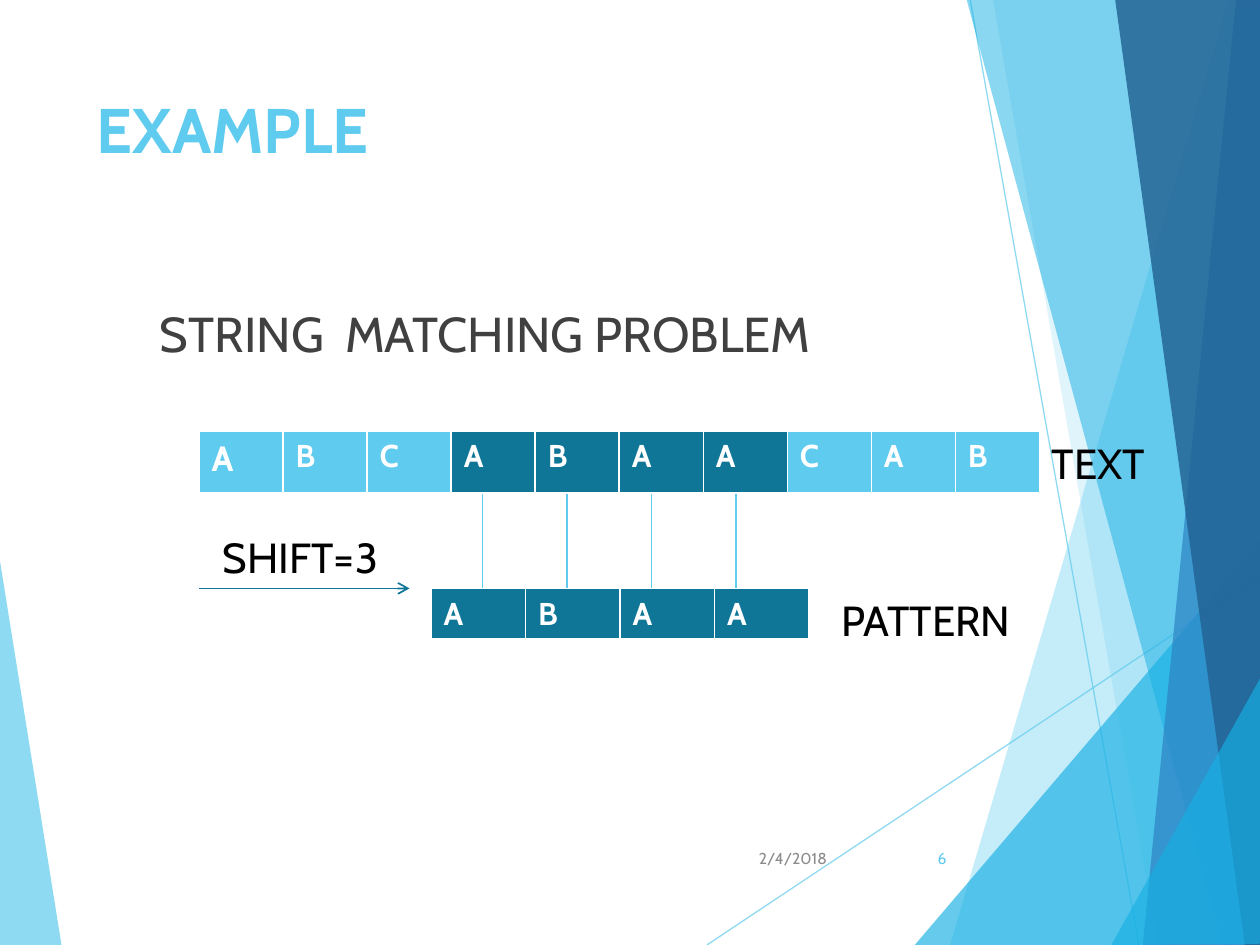
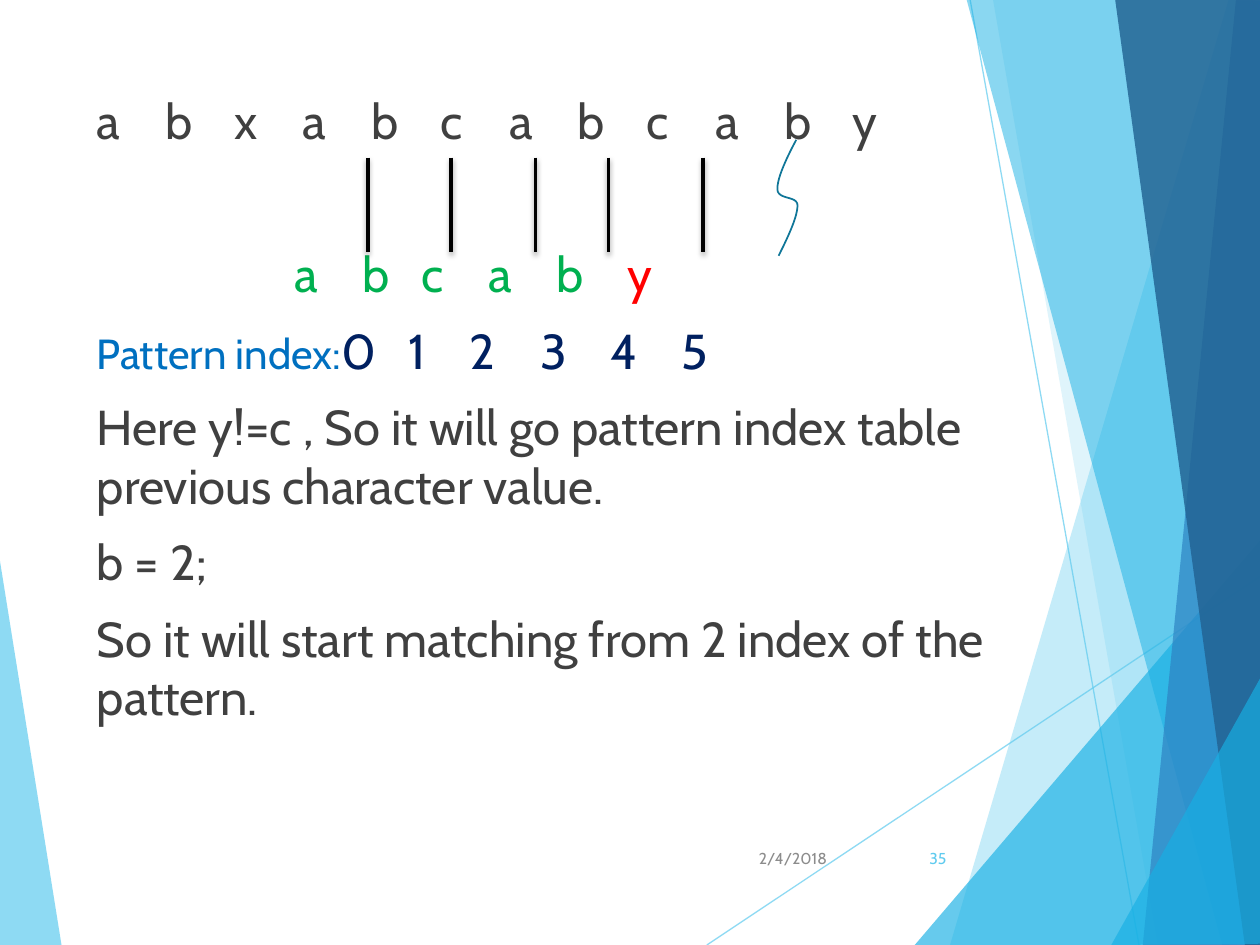
from lxml.etree import SubElement
from pptx import Presentation
from pptx.dml.color import RGBColor
from pptx.enum.shapes import MSO_CONNECTOR
from pptx.enum.text import MSO_ANCHOR, PP_ALIGN
from pptx.oxml.ns import qn
from pptx.util import Inches, Pt

# ---- Shared style ----
FONT = "Cabin"
COLORS = {
    "sky": "5FCBEF", "cyan": "17B0E4", "blue": "2E83C3", "navy": "226292",
    "teal": "0F7698", "white": "FFFFFF", "black": "000000", "body": "404040",
    "date": "8C8C8C", "match": "00B050", "mismatch": "FF0000",
    "label": "0070C0", "index": "002060",
}
DATE = "2/4/2018"

# Backdrop: (colour, opacity in percent, corners)
LEFT_WEDGE = ("sky", 70, [(-0.01, 4.39), (0.49, 7.51), (-0.01, 7.5)])
RAYS = [((5.61, 7.5), (10.01, 4.57)), ((7.7, 0), (9.04, 7.5))]
RIBBONS = [
    ("sky", 36, [(9.75, 0), (7.54, 7.5), (10.02, 7.51), (10.01, 0.01)]),
    ("sky", 20, [(7.88, -0.01), (9.19, 7.5), (10.01, 7.5), (10.01, -0.01)]),
    ("cyan", 66, [(7.26, 7.5), (10, 4.29), (10.01, 7.5)]),
    ("cyan", 50, [(7.67, -0.01), (9.7, 7.5), (10.01, 7.49), (10.01, -0.01)]),
    ("blue", 70, [(9.81, -0.01), (9.07, 7.5), (10.01, 7.5), (10, -0.01)]),
    ("navy", 82, [(8.85, -0.01), (9.88, 7.5), (10.02, 7.5), (10, -0.01)]),
    ("cyan", 66, [(8.82, 7.5), (10.02, 5.35), (10.02, 7.49)]),
]

# ---- Slide content: example ----
TEXT, PATTERN, SHIFT = "ABCABAACAB", "ABAA", 3
LABELS = [
    ("TEXT", (8.25, 3.42, 1.17, 0.5)),
    ("PATTERN", (6.58, 4.67, 1.67, 0.5)),
    (f"SHIFT={SHIFT}", (1.67, 4.17, 1.58, 0.5)),
]

# ---- Slide content: mismatch step ----
# Each paragraph: runs of (text, format), tab stops, space before in points
STEP = [
    {"runs": [("\t".join("abxabcabcaby"), {})],
     "tabs": [6 / 11 * n for n in range(1, 12)]},
    {"runs": [("\ta\tb\tc\ta\tb\t", {"color": "match"}), ("y", {"color": "mismatch"})],
     "tabs": [1.57, 2.11, 2.58, 3.11, 3.65, 4.21], "before": 54},
    {"runs": [("Pattern index:", {"size": 24, "color": "label"}),
              ("\t".join("012345"), {"color": "index"})],
     "tabs": [2.47, 2.96, 3.52, 4.08, 4.64]},
    {"runs": [("Here y!=c , So it will go pattern index table previous character value.", {})]},
    {"runs": [("b = 2;", {})]},
    {"runs": [("So it will start matching from 2 index of the pattern.", {})]},
]
MATCH_XS = [2.92, 3.58, 4.25, 4.83, 5.58]
SQUIGGLE = [(6.32, 1.11), (6.24, 1.26), (6.17, 1.41), (6.17, 1.5), (6.17, 1.59),
            (6.33, 1.55), (6.33, 1.63), (6.33, 1.72), (6.26, 1.87), (6.18, 2.03)]


def rgb(color):
    return RGBColor.from_string(COLORS[color])


def set_opacity(shape, percent):
    for color in shape.element.spPr.iter(qn("a:srgbClr")):
        SubElement(color, qn("a:alpha"), val=str(percent * 1000))


def style_font(font, size, color, bold=False):
    font.name, font.size, font.bold = FONT, Pt(size), bold
    font.color.rgb = rgb(color)


def add_text(slide, box, content, size=24, color="black", bold=False,
             align=PP_ALIGN.LEFT, anchor=MSO_ANCHOR.TOP, indent=0.1):
    """Add a text box; content is a string or a list of paragraph dicts."""
    frame = slide.shapes.add_textbox(*map(Inches, box)).text_frame
    frame.word_wrap, frame.vertical_anchor = True, anchor
    frame.margin_left = Inches(indent)
    if isinstance(content, str):
        content = [{"runs": [(content, {})], "before": 0}]
    for number, part in enumerate(content):
        paragraph = frame.add_paragraph() if number else frame.paragraphs[0]
        paragraph.alignment = align
        paragraph.space_before = Pt(part.get("before", 10))
        if "tabs" in part:
            stops = SubElement(paragraph._p.get_or_add_pPr(), qn("a:tabLst"))
            for stop in part["tabs"]:
                SubElement(stops, qn("a:tab"), pos=str(Inches(stop)), algn="l")
        for words, changes in part["runs"]:
            run = paragraph.add_run()
            run.text = words
            style_font(run.font, **{"size": size, "color": color, "bold": bold, **changes})


def add_line(slide, start, end, color, width=1, shadow=False, arrow=False):
    line = slide.shapes.add_connector(
        MSO_CONNECTOR.STRAIGHT, *map(Inches, (*start, *end)))
    line.line.color.rgb, line.line.width = rgb(color), Pt(width)
    if arrow:
        SubElement(line.line._get_or_add_ln(), qn("a:tailEnd"), type="arrow")
    effects = SubElement(line.element.spPr, qn("a:effectLst"))
    if shadow:
        outer = SubElement(effects, qn("a:outerShdw"), blurRad=str(Pt(3)),
                           dist=str(Pt(2)), dir="5400000", rotWithShape="0")
        tint = SubElement(outer, qn("a:srgbClr"), val=COLORS["black"])
        SubElement(tint, qn("a:alpha"), val="35000")
    return line


def add_outline(slide, points, close=True):
    corners = [(Inches(x), Inches(y)) for x, y in points]
    builder = slide.shapes.build_freeform(*corners[0])
    builder.add_line_segments(corners[1:], close=close)
    shape = builder.convert_to_shape()
    shape.shadow.inherit = False
    return shape


def add_ribbon(slide, color, opacity, corners):
    ribbon = add_outline(slide, corners)
    ribbon.fill.solid()
    ribbon.fill.fore_color.rgb = rgb(color)
    ribbon.line.fill.background()
    set_opacity(ribbon, opacity)


def smooth_points(controls, steps=12):
    """Sample a chain of cubic curves."""
    points = [controls[0]]
    for first in range(0, len(controls) - 1, 3):
        for step in range(1, steps + 1):
            t = step / steps
            weights = ((1 - t) ** 3, 3 * t * (1 - t) ** 2, 3 * t * t * (1 - t), t ** 3)
            curve = controls[first:first + 4]
            points.append(tuple(sum(w * p[axis] for w, p in zip(weights, curve))
                                for axis in (0, 1)))
    return points


def add_letters(slide, box, letters, marked, first_size=18):
    """Add a one-row table; cells whose number is in marked are dark."""
    table = slide.shapes.add_table(1, len(letters), *map(Inches, box)).table
    for number, letter in enumerate(letters):
        cell = table.cell(0, number)
        cell.text = letter
        style_font(cell.text_frame.paragraphs[0].runs[0].font,
                   18 if number else first_size, "white", bold=True)
        properties = cell._tc.get_or_add_tcPr()
        for side, width in (("L", 1), ("R", 1), ("T", 1), ("B", 3)):
            border = SubElement(properties, qn(f"a:ln{side}"), w=str(Pt(width)))
            fill = SubElement(border, qn("a:solidFill"))
            SubElement(fill, qn("a:srgbClr"), val=COLORS["white"])
        cell.fill.solid()
        cell.fill.fore_color.rgb = rgb("teal" if number in marked else "sky")


def new_slide(deck, page):
    slide = deck.slides.add_slide(deck.slide_layouts[6])
    add_ribbon(slide, *LEFT_WEDGE)
    for start, end in RAYS:
        set_opacity(add_line(slide, start, end, "sky", width=0.75), 70)
    for ribbon in RIBBONS:
        add_ribbon(slide, *ribbon)
    footer = {"size": 9, "align": PP_ALIGN.RIGHT, "anchor": MSO_ANCHOR.MIDDLE}
    add_text(slide, (5.91, 6.61, 0.75, 0.4), DATE, color="date", **footer)
    add_text(slide, (7.05, 6.61, 0.56, 0.4), page, color="sky", **footer)
    return slide


def build_example(deck):
    slide = new_slide(deck, "6")
    add_text(slide, (0.67, 0.67, 6.94, 1.44), "EXAMPLE", size=36, color="sky", bold=True)
    heading = [{"runs": [("STRING\tMATCHING PROBLEM", {})], "tabs": [1.47]}]
    add_text(slide, (0.67, 2.36, 6.94, 4.24), heading, size=28, color="body", indent=0.6)
    # Text above, shifted pattern below
    matched = range(SHIFT, SHIFT + len(PATTERN))
    add_letters(slide, (1.58, 3.42, 6.67, 0.5), TEXT, matched, first_size=20)
    add_letters(slide, (3.42, 4.67, 3, 0.41), PATTERN, range(len(PATTERN)))
    for number in range(len(PATTERN)):
        x = 3.83 + 0.67 * number
        add_line(slide, (x, 3.92), (x, 4.67), "sky")
    add_line(slide, (1.58, 4.67), (3.25, 4.67), "teal", arrow=True)
    for label, box in LABELS:
        add_text(slide, box, label)


def build_step(deck):
    slide = new_slide(deck, "35")
    add_text(slide, (0.67, 0.67, 8.17, 5.94), STEP, size=28, color="body")
    # Squiggle marks the mismatch, bars mark the matches
    squiggle = add_outline(slide, smooth_points(SQUIGGLE), close=False)
    squiggle.fill.background()
    squiggle.line.color.rgb, squiggle.line.width = rgb("teal"), Pt(1)
    for x in MATCH_XS:
        add_line(slide, (x, 1.25), (x, 2), "black", width=2, shadow=True)


def main():
    deck = Presentation()
    deck.slide_width, deck.slide_height = Inches(10), Inches(7.5)
    build_example(deck)
    build_step(deck)
    deck.save("out.pptx")


if __name__ == "__main__":
    main()
